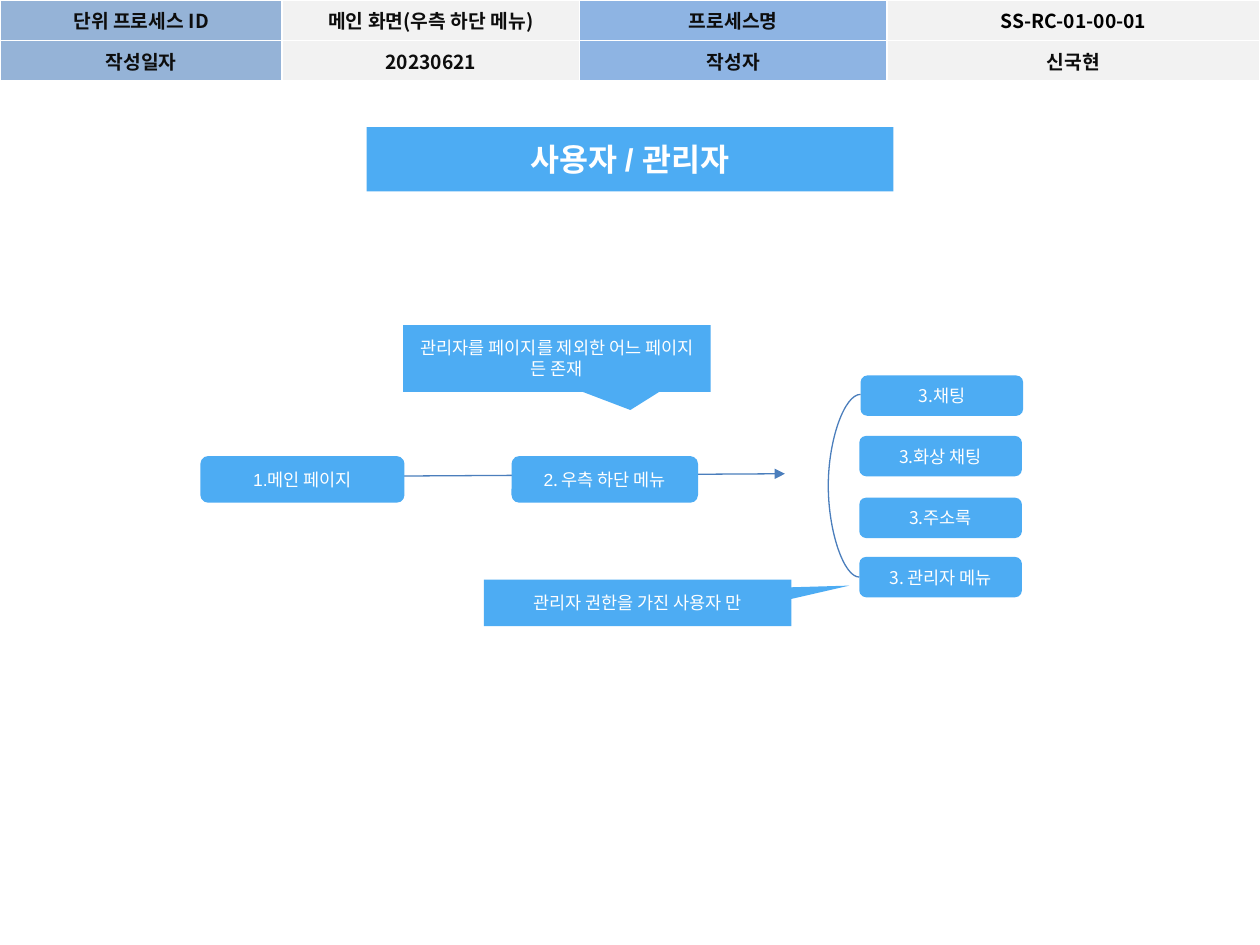
from dataclasses import dataclass

from lxml.etree import SubElement
from pptx import Presentation
from pptx.dml.color import RGBColor
from pptx.enum.shapes import MSO_CONNECTOR, MSO_SHAPE
from pptx.enum.text import MSO_ANCHOR, PP_ALIGN
from pptx.oxml import parse_xml
from pptx.oxml.ns import nsdecls, qn
from pptx.shapes.connector import Connector
from pptx.slide import Slide
from pptx.text.text import TextFrame
from pptx.util import Inches, Pt

SKY = RGBColor(0x4D, 0xAC, 0xF3)
LINE_BLUE = RGBColor(0x4B, 0x7E, 0xBC)
STEEL = RGBColor(0x95, 0xB3, 0xD7)
PERIWINKLE = RGBColor(0x8E, 0xB4, 0xE3)
PALE = RGBColor(0xF2, 0xF2, 0xF2)
WHITE = RGBColor(0xFF, 0xFF, 0xFF)
INK = RGBColor(0x0D, 0x0D, 0x0D)
BLACK = RGBColor(0, 0, 0)
LATIN = "Arial"
KOREAN = "Noto Sans CJK KR"

HEADER_ROWS = (
    ("단위 프로세스 ID", "메인 화면(우측 하단 메뉴)", "프로세스명", "SS-RC-01-00-01"),
    ("작성일자", "20230621", "작성자", "신국현"),
)
HEADER_FILLS = (STEEL, PALE, PERIWINKLE, PALE)
HEADER_WIDTHS = (2.24, 2.36, 2.44, 2.96)
HEADER_HEIGHTS = (0.3, 0.31)


@dataclass(frozen=True)
class Box:
    left: float
    top: float
    width: float
    height: float
    runs: tuple[tuple[str, str], ...]
    geometry: MSO_SHAPE = MSO_SHAPE.ROUNDED_RECTANGLE
    adjustments: tuple[float, ...] = (0.167,)


MENU_ITEMS = (
    (6.83, 2.98, "3.채팅"),
    (6.82, 3.46, "3.화상 채팅"),
    (6.82, 3.95, "3.주소록"),
    (6.82, 4.42, "3. 관리자 메뉴"),
)
STEPS = (
    Box(4.06, 3.62, 1.48, 0.37, (("2", LATIN), (". 우측 하단 메뉴", KOREAN))),
    Box(1.59, 3.62, 1.62, 0.37, (("1.메인 페이지", LATIN),)),
)
MENU = tuple(
    Box(left, top, 1.29, 0.32, ((label, KOREAN),)) for left, top, label in MENU_ITEMS
)
CALLOUTS = (
    Box(3.84, 4.6, 2.44, 0.37, (("관리자 권한을 가진 사용자 만", KOREAN),),
        MSO_SHAPE.RECTANGULAR_CALLOUT, (0.689, -0.37)),
    Box(3.2, 2.58, 2.44, 0.53, (("관리자를 페이지를 제외한 어느 페이지 든 존재", KOREAN),),
        MSO_SHAPE.RECTANGULAR_CALLOUT, (0.239, 0.773)),
)


def write_text(frame: TextFrame, runs: tuple[tuple[str, str], ...], size: float,
               color: RGBColor, bold: bool = False) -> None:
    paragraph = frame.paragraphs[0]
    paragraph.alignment = PP_ALIGN.CENTER
    for text, font_name in runs:
        run = paragraph.add_run()
        run.text = text
        run.font.size = Pt(size)
        run.font.bold = bold
        run.font.color.rgb = color
        run.font.name = font_name
        SubElement(run.font._element, qn("a:ea")).set("typeface", KOREAN)


def add_header(slide: Slide) -> None:
    table = slide.shapes.add_table(
        len(HEADER_ROWS), len(HEADER_WIDTHS), 0, 0, Inches(10), Inches(0.61)
    ).table
    table.first_row = False
    table.horz_banding = False
    for column, width in zip(table.columns, HEADER_WIDTHS):
        column.width = Inches(width)
    for row, height, labels in zip(table.rows, HEADER_HEIGHTS, HEADER_ROWS):
        row.height = Inches(height)
        for cell, label, fill in zip(row.cells, labels, HEADER_FILLS):
            cell.vertical_anchor = MSO_ANCHOR.MIDDLE
            color = BLACK if label.startswith("SS") else INK
            write_text(cell.text_frame, ((label, KOREAN),), 11, color, True)
            properties = cell._tc.get_or_add_tcPr()
            for side in ("lnL", "lnR", "lnT", "lnB"):
                properties.append(parse_xml(
                    f'<a:{side} {nsdecls("a")} w="12700"><a:solidFill>'
                    f'<a:srgbClr val="{WHITE}"/></a:solidFill></a:{side}>'
                ))
            cell.fill.solid()
            cell.fill.fore_color.rgb = fill


def add_title(slide: Slide) -> None:
    title = slide.shapes.title
    title.left, title.top = Inches(2.91), Inches(1.01)
    title.width, title.height = Inches(4.18), Inches(0.51)
    title._element.spPr.append(parse_xml(
        f'<a:prstGeom {nsdecls("a")} prst="roundRect"><a:avLst>'
        '<a:gd name="adj" fmla="val 16700"/></a:avLst></a:prstGeom>'
    ))
    title.fill.solid()
    title.fill.fore_color.rgb = SKY
    title.text_frame.vertical_anchor = MSO_ANCHOR.MIDDLE
    write_text(title.text_frame, (("사용자 / 관리자", LATIN),), 18, WHITE, True)


def add_box(slide: Slide, box: Box) -> None:
    shape = slide.shapes.add_shape(
        box.geometry, Inches(box.left), Inches(box.top),
        Inches(box.width), Inches(box.height),
    )
    for index, value in enumerate(box.adjustments):
        shape.adjustments[index] = value
    shape.shadow.inherit = False
    shape.fill.solid()
    shape.fill.fore_color.rgb = SKY
    shape.line.fill.background()
    shape.text_frame.word_wrap = True
    shape.text_frame.vertical_anchor = MSO_ANCHOR.MIDDLE
    write_text(shape.text_frame, box.runs, 10, WHITE)


def add_link(slide: Slide, kind: MSO_CONNECTOR, start: tuple[float, float],
             end: tuple[float, float]) -> Connector:
    link = slide.shapes.add_connector(
        kind, Inches(start[0]), Inches(start[1]), Inches(end[0]), Inches(end[1])
    )
    link.line.color.rgb = LINE_BLUE
    link.line.width = Pt(0.75)
    SubElement(link._element.spPr, qn("a:effectLst"))
    return link


def main() -> None:
    presentation = Presentation()
    presentation.slide_width = Inches(10)
    presentation.slide_height = Inches(7.5)
    slide = presentation.slides.add_slide(presentation.slide_layouts[5])

    add_header(slide)
    add_title(slide)
    flow_arrow = add_link(slide, MSO_CONNECTOR.STRAIGHT, (2.86, 3.78), (6.23, 3.76))
    SubElement(flow_arrow.line._get_or_add_ln(), qn("a:tailEnd")).set("type", "triangle")
    for box in STEPS + MENU:
        add_box(slide, box)

    menu_bracket = add_link(slide, MSO_CONNECTOR.CURVE, (6.83, 3.13), (6.82, 4.58))
    guide = SubElement(menu_bracket._element.spPr.prstGeom.get_or_add_avLst(), qn("a:gd"))
    guide.set("name", "adj1")
    guide.set("fmla", "val 2600000")
    for box in CALLOUTS:
        add_box(slide, box)
    presentation.save("out.pptx")


if __name__ == "__main__":
    main()
